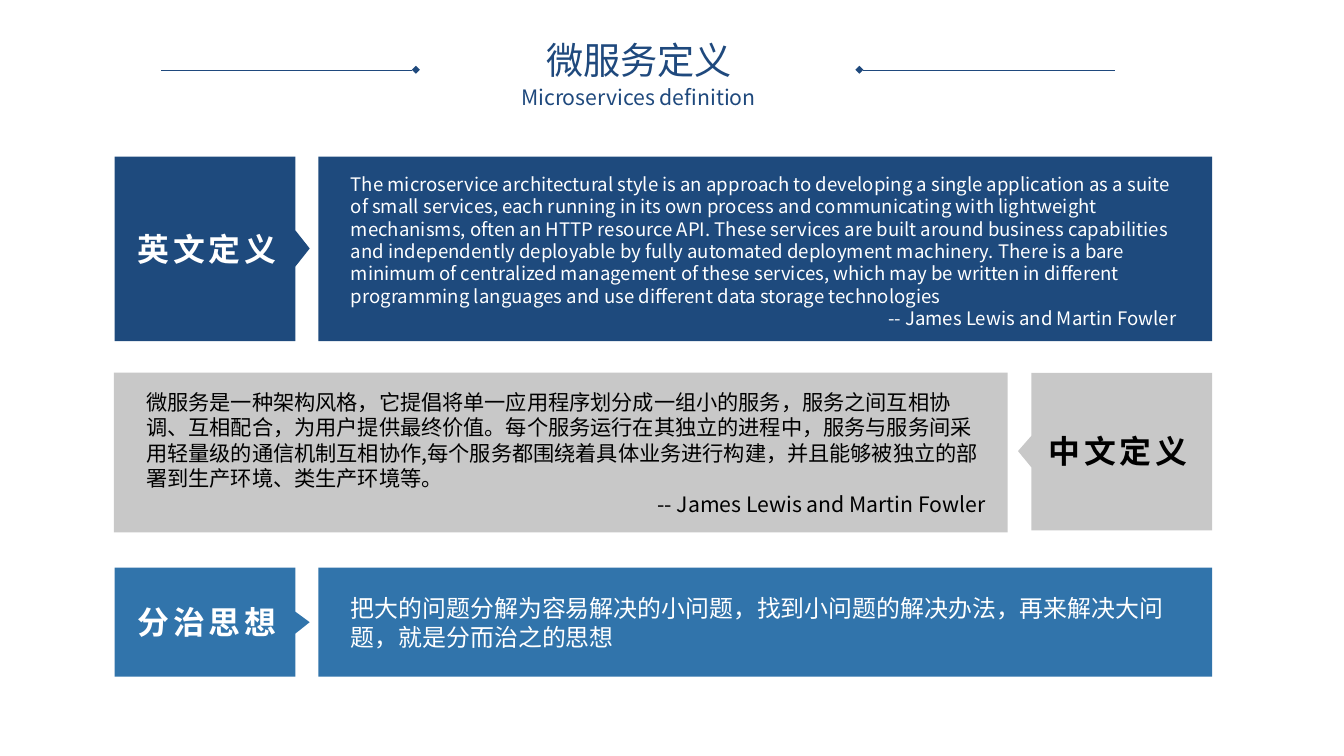
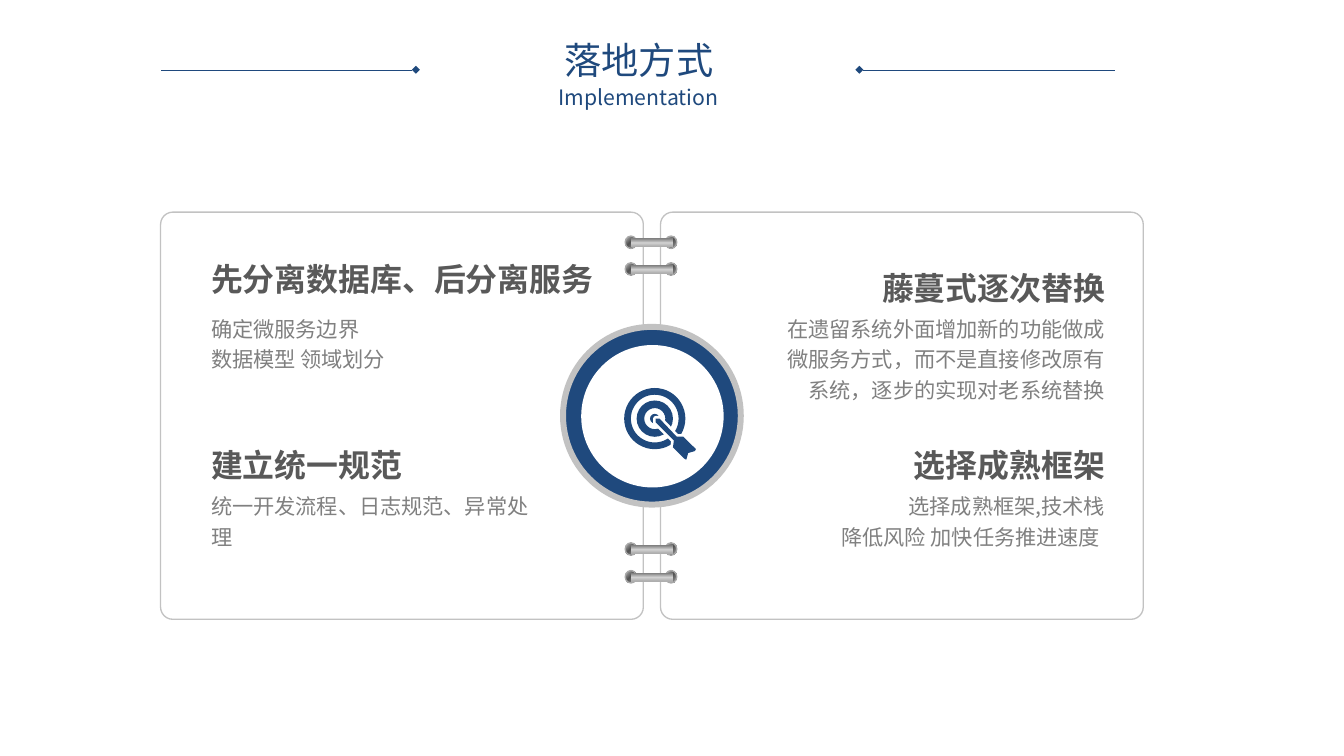
from dataclasses import dataclass, field
from typing import Any

from lxml.etree import SubElement
from pptx import Presentation
from pptx.dml.color import RGBColor
from pptx.enum.shapes import MSO_CONNECTOR, MSO_SHAPE
from pptx.enum.text import MSO_ANCHOR, MSO_AUTO_SIZE, PP_ALIGN
from pptx.oxml import parse_xml
from pptx.oxml.ns import nsdecls, qn
from pptx.util import Emu, Pt

PX = 9144
LEFT, CENTER, RIGHT = PP_ALIGN.LEFT, PP_ALIGN.CENTER, PP_ALIGN.RIGHT
Box = tuple[int, int, int, int]


@dataclass(frozen=True)
class TextStyle:
    size: float
    color: str
    leading: float
    bold: bool = False
    font: str = "Noto Sans CJK SC"
    tracking: int = 0


@dataclass(frozen=True)
class Theme:
    navy: str = "1F497D"
    band_navy: str = "1E4A7D"
    band_blue: str = "3174AB"
    band_gray: str = "C8C8C8"
    border: str = "C2C2C2"
    ring_edge: str = "A9A9A9"
    white: str = "FFFFFF"
    black: str = "000000"
    east_asian: str = "Noto Sans CJK SC"
    title: TextStyle = TextStyle(28, "1F497D", 30, font="Arial")
    subtitle: TextStyle = TextStyle(16, "1F497D", 16.5)
    heading: TextStyle = TextStyle(24, "595959", 35, bold=True)
    detail: TextStyle = TextStyle(16, "808080", 23.2)
    ring_stops: tuple = ((20, "808080"), (51, "525252"), (86, "A5A5A5"))
    bar_stops: tuple = ((9, "808080"), (57, "D2D2D2"), (98, "AEAEAE"))

    def label(self, color: str) -> TextStyle:
        return TextStyle(24, color, 28.8, bold=True, tracking=300)


THEME = Theme()


@dataclass(frozen=True)
class Definition:
    label: str
    lines: tuple[str, ...]
    style: TextStyle
    fill: str
    top: int
    height: int
    label_height: int
    tip: tuple[int, int, int]
    label_top: int
    text_top: int
    text_width: int = 878
    label_on_right: bool = False


@dataclass(frozen=True)
class Note:
    heading: str
    lines: tuple[str, ...]
    left: int
    width: int
    heading_top: int
    detail_top: int
    alignment: Any = field(default=LEFT)


AUTHOR = "-- James Lewis and Martin Fowler"
DEFINITIONS = (
    Definition(
        "英文定义",
        ("The microservice architectural style is an approach to developing a single "
         "application as a suite of small services, each running in its own process and "
         "communicating with lightweight mechanisms, often an HTTP resource API. These "
         "services are built around business capabilities and independently deployable by "
         "fully automated deployment machinery. There is a bare minimum of centralized "
         "management of these services, which may be written in different programming "
         "languages and use different data storage technologies", AUTHOR),
        TextStyle(14, THEME.white, 16.8), THEME.band_navy,
        164, 193, 193, (241, 260, 279), 240, 181, text_width=864),
    Definition(
        "中文定义",
        ("微服务是一种架构风格，它提倡将单一应用程序划分成一组小的服务，服务之间互相协调、"
         "互相配合，为用户提供最终价值。每个服务运行在其独立的进程中，服务与服务间采用轻量级的"
         "通信机制互相协作,每个服务都围绕着具体业务进行构建，并且能够被独立的部署到生产环境、"
         "类生产环境等。", AUTHOR),
        TextStyle(16, THEME.black, 19.2), THEME.band_gray,
        390, 167, 165, (456, 472, 489), 452, 407, label_on_right=True),
    Definition(
        "分治思想",
        ("把大的问题分解为容易解决的小问题，找到小问题的解决办法，再来解决大问题，"
         "就是分而治之的思想",),
        TextStyle(18, THEME.white, 21.8, font="Calibri"), THEME.band_blue,
        594, 114, 114, (640, 651, 663), 631, 621),
)
NOTES = (
    Note("先分离数据库、后分离服务", ("确定微服务边界", "数据模型 领域划分"),
         211, 453, 258, 320),
    Note("建立统一规范", ("统一开发流程、日志规范、异常处理",), 211, 360, 453, 506),
    Note("藤蔓式逐次替换",
         ("在遗留系统外面增加新的功能做成微服务方式，而不是直接修改原有系统，"
          "逐步的实现对老系统替换",), 806, 360, 268, 320, RIGHT),
    Note("选择成熟框架", ("选择成熟框架,技术栈", "降低风险 加快任务推进速度 "),
         806, 360, 453, 506, RIGHT),
)
BINDING_TOPS = (247, 275, 568, 597)
ARROW = ((686, 442), (686, 438), (690, 438), (708, 457), (715, 457), (728, 470),
         (727, 472), (720, 474), (718, 481), (716, 480), (704, 468), (705, 461))


def set_values(target: Any, values: dict[str, Any]) -> None:
    for name, value in values.items():
        setattr(target, name, value)


def emu(box: Box) -> list[Emu]:
    return [Emu(value * PX) for value in box]


def paint(shape: Any, fill: str, line: str = "", width: float = 1) -> None:
    shape.shadow.inherit = False
    shape.fill.solid()
    shape.fill.fore_color.rgb = RGBColor.from_string(fill)
    if line:
        shape.line.color.rgb = RGBColor.from_string(line)
        shape.line.width = Pt(width)
    else:
        shape.line.fill.background()


def add_preset(slide: Any, kind: Any, box: Box, fill: str, line: str = "",
               width: float = 1, adjustment: float | None = None) -> Any:
    shape = slide.shapes.add_shape(kind, *emu(box))
    if adjustment is not None:
        shape.adjustments[0] = adjustment
    paint(shape, fill, line, width)
    return shape


def add_polygon(slide: Any, points: tuple, fill: str, line: str = "", width: float = 1) -> None:
    builder = slide.shapes.build_freeform(*points[0], scale=PX)
    builder.add_line_segments(points[1:], close=True)
    paint(builder.convert_to_shape(), fill, line, width)


def apply_gradient(shape: Any, stops: tuple, direction: str) -> None:
    stop_xml = "".join(
        f'<a:gs pos="{position * 1000}"><a:srgbClr val="{color}"/></a:gs>'
        for position, color in stops)
    gradient = parse_xml(
        f'<a:gradFill {nsdecls("a")} rotWithShape="1"><a:gsLst>{stop_xml}</a:gsLst>'
        f'{direction}</a:gradFill>')
    properties = shape._element.spPr
    properties.replace(properties.find(qn("a:solidFill")), gradient)


def write_text(shape: Any, lines: tuple[str, ...], style: TextStyle,
               alignments: tuple, inset: tuple[int, int] = (0, 0),
               anchor: Any = MSO_ANCHOR.TOP) -> None:
    frame = shape.text_frame
    horizontal, vertical = (Emu(value * PX) for value in inset)
    set_values(frame, {
        "word_wrap": True, "auto_size": MSO_AUTO_SIZE.NONE, "vertical_anchor": anchor,
        "margin_left": horizontal, "margin_right": horizontal,
        "margin_top": vertical, "margin_bottom": vertical})
    for index, text in enumerate(lines):
        paragraph = frame.paragraphs[0] if index == 0 else frame.add_paragraph()
        properties = paragraph._p.get_or_add_pPr()
        for name in ("marL", "indent", "hangingPunct"):
            properties.set(name, "0")
        SubElement(properties, qn("a:buNone"))
        set_values(paragraph, {
            "alignment": alignments[min(index, len(alignments) - 1)],
            "line_spacing": Pt(style.leading), "space_before": Pt(0), "space_after": Pt(0)})
        run = paragraph.add_run()
        run.text = text
        run.font.color.rgb = RGBColor.from_string(style.color)
        set_values(run.font, {"size": Pt(style.size), "bold": style.bold, "name": style.font})
        run_properties = run._r.get_or_add_rPr()
        SubElement(run_properties, qn("a:ea")).set("typeface", THEME.east_asian)
        if style.tracking:
            run_properties.set("spc", str(style.tracking))


def add_text(slide: Any, box: Box, lines: tuple[str, ...], style: TextStyle,
             alignments: tuple = (LEFT,), inset: tuple[int, int] = (0, 0)) -> None:
    write_text(slide.shapes.add_textbox(*emu(box)), lines, style, alignments, inset)


def add_title_rule(slide: Any, start: int, end: int) -> None:
    connector = slide.shapes.add_connector(
        MSO_CONNECTOR.STRAIGHT, *emu((start, 73, end, 73)))
    connector.line.color.rgb = RGBColor.from_string(THEME.navy)
    connector.line.width = Pt(0.25)
    properties = connector._element.spPr
    SubElement(properties.find(qn("a:ln")), qn("a:headEnd")).set("type", "diamond")
    SubElement(properties, qn("a:effectLst"))


def add_titled_slide(presentation: Any, title: str, subtitle: str) -> Any:
    slide = presentation.slides.add_slide(presentation.slide_layouts[1])
    for start, end in ((435, 168), (899, 1166)):
        add_title_rule(slide, start, end)
    headers = (
        (slide.shapes.title, title, THEME.title, (362, 41, 613, 47)),
        (slide.placeholders[1], subtitle, THEME.subtitle, (410, 80, 516, 47)))
    for placeholder, text, style, box in headers:
        set_values(placeholder, dict(zip(("left", "top", "width", "height"), emu(box))))
        write_text(placeholder, (text,), style, (CENTER,), (10, 5), MSO_ANCHOR.MIDDLE)
    return slide


def add_definition(slide: Any, item: Definition) -> None:
    band_left = 119 if item.label_on_right else 333
    add_preset(slide, MSO_SHAPE.RECTANGLE, (band_left, item.top, 935, item.height), item.fill)
    outer, inner, tip = (1268, 1079, 1065) if item.label_on_right else (120, 309, 324)
    bottom = item.top + item.label_height
    upper, middle, lower = item.tip
    add_polygon(slide, ((outer, item.top), (inner, item.top), (inner, upper), (tip, middle),
                        (inner, lower), (inner, bottom), (outer, bottom)), item.fill)
    add_text(slide, (band_left + 34, item.text_top, item.text_width, item.height - 34),
             item.lines, item.style, (LEFT, RIGHT))
    label_left = 1087 if item.label_on_right else 134
    add_text(slide, (label_left, item.label_top, 165, 40), (item.label,),
             THEME.label(item.style.color), (CENTER,))


def add_binding(slide: Any, top: int) -> None:
    for left in (696, 654):
        ring = add_preset(slide, MSO_SHAPE.OVAL, (left, top, 12, 13), THEME.white,
                          THEME.ring_edge)
        apply_gradient(ring, THEME.ring_stops,
                       '<a:path path="circle"><a:fillToRect l="100000" t="100000"/></a:path>')
    bar = add_preset(slide, MSO_SHAPE.RECTANGLE, (660, top + 2, 44, 9), THEME.white)
    apply_gradient(bar, THEME.bar_stops, '<a:lin ang="5400000" scaled="0"/>')


def add_target(slide: Any) -> None:
    rings = ((MSO_SHAPE.DONUT, 32, 0.11), (MSO_SHAPE.DONUT, 19, 0.21), (MSO_SHAPE.OVAL, 5, None))
    for kind, radius, thickness in rings:
        add_preset(slide, kind, (685 - radius, 438 - radius, 2 * radius, 2 * radius),
                   THEME.navy, adjustment=thickness)
    add_polygon(slide, ARROW, THEME.white, THEME.white, 4)
    add_polygon(slide, ARROW, THEME.navy)


def add_note(slide: Any, note: Note) -> None:
    add_text(slide, (note.left, note.heading_top, note.width, 59), (note.heading,),
             THEME.heading, (note.alignment,), (10, 5))
    add_text(slide, (note.left, note.detail_top, 360, 75), note.lines,
             THEME.detail, (note.alignment,), (10, 5))


def build_definition_slide(presentation: Any) -> None:
    slide = add_titled_slide(presentation, "微服务定义", "Microservices definition")
    for item in DEFINITIONS:
        add_definition(slide, item)


def build_implementation_slide(presentation: Any) -> None:
    slide = add_titled_slide(presentation, "落地方式", "Implementation")
    for left in (168, 691):
        add_preset(slide, MSO_SHAPE.ROUNDED_RECTANGLE, (left, 222, 505, 426),
                   THEME.white, THEME.border, adjustment=0.03)
    add_preset(slide, MSO_SHAPE.OVAL, (589, 342, 186, 186), THEME.navy, THEME.border, 4.5)
    add_preset(slide, MSO_SHAPE.OVAL, (608, 361, 149, 149), THEME.white)
    for top in BINDING_TOPS:
        add_binding(slide, top)
    for note in NOTES:
        add_note(slide, note)
    add_target(slide)


def main() -> None:
    presentation = Presentation()
    set_values(presentation, {"slide_width": Emu(1406 * PX), "slide_height": Emu(791 * PX)})
    build_definition_slide(presentation)
    build_implementation_slide(presentation)
    presentation.save("out.pptx")


if __name__ == "__main__":
    main()
